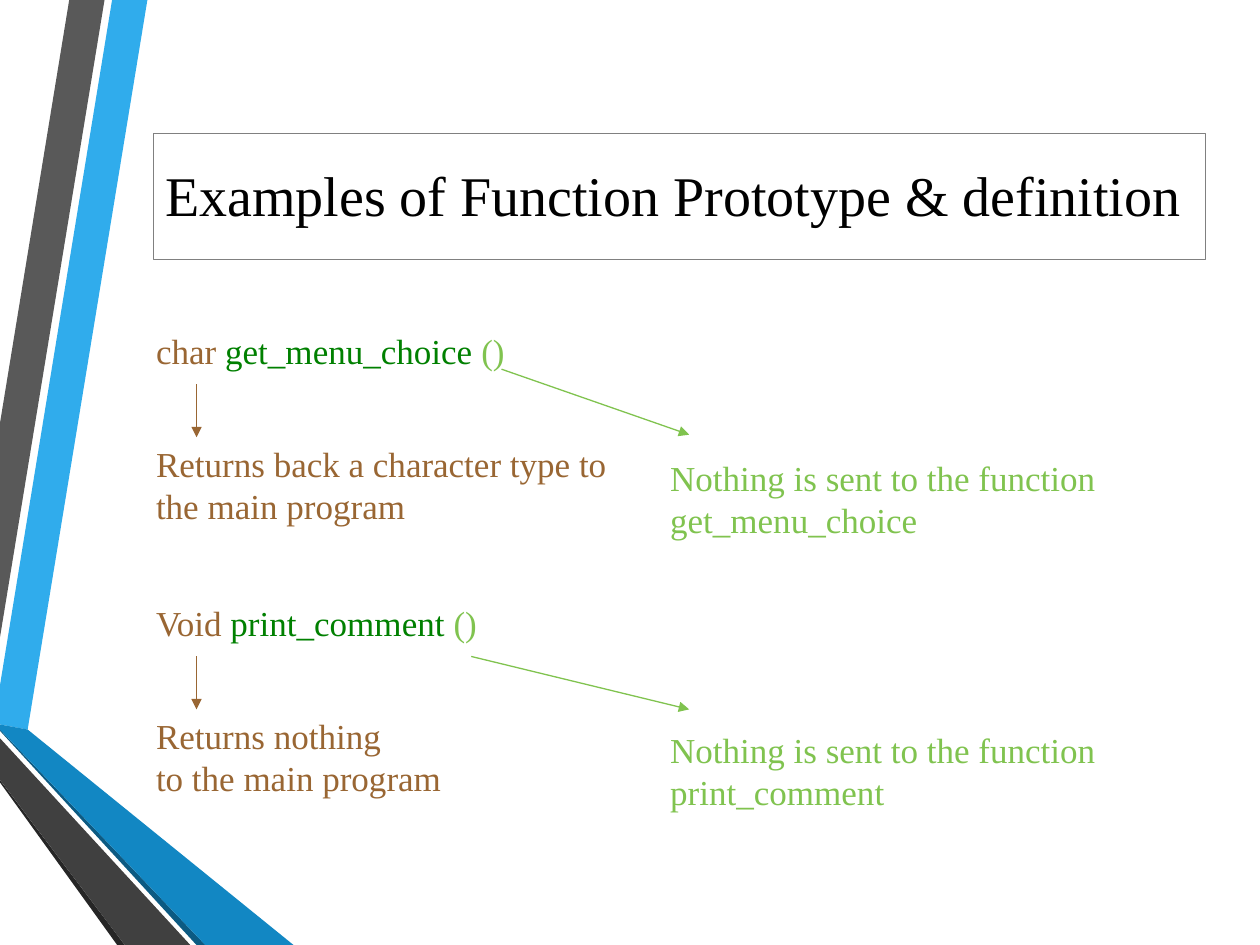
import pptx
import pptx.dml.color
import pptx.enum.shapes
import pptx.enum.text
import pptx.oxml.ns
import pptx.util
from lxml import etree

Inches = pptx.util.Inches
Align = pptx.enum.text.PP_ALIGN

BLACK, WHITE, GRAY = "000000", "FFFFFF", "808080"
BROWN, GREEN, LIME = "996633", "008000", "80C34F"


def color(hex_string):
    return pptx.dml.color.RGBColor.from_string(hex_string)


class SlideBuilder:
    font = "Times New Roman"
    body_size = 20
    title_size = 32
    line_width = 0.75

    def __init__(self, slide):
        self.slide = slide
        self.shapes = slide.shapes

    def band(self, points, fill):
        corners = [(Inches(x), Inches(y)) for x, y in points]
        builder = self.shapes.build_freeform(*corners[0], scale=1.0)
        builder.add_line_segments(corners[1:], close=True)
        band = builder.convert_to_shape()
        band.fill.solid()
        band.fill.fore_color.rgb = color(fill)
        band.line.fill.background()
        band.shadow.inherit = False

    def frame(self, left, top, width, height):
        frame = self.shapes.add_shape(
            pptx.enum.shapes.MSO_SHAPE.RECTANGLE,
            Inches(left), Inches(top), Inches(width), Inches(height))
        frame.fill.solid()
        frame.fill.fore_color.rgb = color(WHITE)
        frame.line.color.rgb = color(GRAY)
        frame.line.width = pptx.util.Pt(self.line_width)
        frame.shadow.inherit = False

    def add_runs(self, paragraph, runs, size, align):
        paragraph.alignment = align
        for words, hex_string in runs:
            run = paragraph.add_run()
            run.text = words
            run.font.name = self.font
            run.font.size = pptx.util.Pt(size)
            run.font.color.rgb = color(hex_string)

    def title(self, words, left, top, width, height):
        title = self.shapes.title
        title.left, title.top = Inches(left), Inches(top)
        title.width, title.height = Inches(width), Inches(height)
        title.text_frame.vertical_anchor = pptx.enum.text.MSO_ANCHOR.TOP
        title.text_frame.auto_size = pptx.enum.text.MSO_AUTO_SIZE.SHAPE_TO_FIT_TEXT
        self.add_runs(title.text_frame.paragraphs[0], [(words, BLACK)],
                      self.title_size, Align.LEFT)
        self.shapes._spTree.append(title._element)

    def text(self, paragraphs, left, top, width, height,
             align=Align.LEFT, spacing=None):
        box = self.shapes.add_textbox(
            Inches(left), Inches(top), Inches(width), Inches(height))
        frame = box.text_frame
        frame.word_wrap = True
        frame.auto_size = pptx.enum.text.MSO_AUTO_SIZE.SHAPE_TO_FIT_TEXT
        for index, runs in enumerate(paragraphs):
            paragraph = frame.add_paragraph() if index else frame.paragraphs[0]
            paragraph.line_spacing = spacing
            self.add_runs(paragraph, runs, self.body_size, align)

    def arrow(self, start, end, hex_string):
        arrow = self.shapes.add_connector(
            pptx.enum.shapes.MSO_CONNECTOR.STRAIGHT,
            *(Inches(value) for value in (*start, *end)))
        arrow.line.color.rgb = color(hex_string)
        arrow.line.width = pptx.util.Pt(self.line_width)
        qn = pptx.oxml.ns.qn
        outline = arrow._element.spPr.find(qn("a:ln"))
        etree.SubElement(outline, qn("a:tailEnd"), type="triangle")
        etree.SubElement(arrow._element.spPr, qn("a:effectLst"))


BANDS = [
    ("30ACEC", [(0, 5.44), (0, 5.75), (0.22, 5.79), (1.17, 0), (0.89, 0)]),
    ("595959", [(0.83, 0), (0.55, 0), (0, 3.36), (0, 5.06)]),
    ("262626", [(0, 6.19), (0, 6.21), (0.93, 7.5), (0.99, 7.5)]),
    ("0C5A82", [(0, 5.79), (0, 5.8), (1.56, 7.5), (1.63, 7.5)]),
    ("1287C3", [(0, 5.79), (1.63, 7.5), (2.33, 7.5), (0.22, 5.79), (0, 5.75)]),
    ("404040", [(0, 6.19), (0.99, 7.5), (1.51, 7.5), (0, 5.86)]),
]

EXAMPLES = [
    (2.55, "char ", "get_menu_choice",
     ["Returns back a character type to the main program"],
     (3.98, 2.93), (5.47, 3.45)),
    (4.71, "Void ", "print_comment",
     ["Returns nothing", "to the main program"],
     (3.74, 5.21), (5.47, 5.63)),
]


def main():
    deck = pptx.Presentation()
    deck.slide_width, deck.slide_height = Inches(10), Inches(7.5)
    page = SlideBuilder(deck.slides.add_slide(deck.slide_layouts[5]))

    for fill, points in BANDS:
        page.band(points, fill)

    page.frame(1.22, 1.06, 8.35, 1)
    page.title("Examples of Function Prototype & definition", 1.21, 1.22, 9.17, 0.64)

    for top, return_type, function, returned, sent_start, sent_end in EXAMPLES:
        prototype = [(return_type, BROWN), (function + " ", GREEN), ("()", LIME)]
        page.text([prototype], 1.14, top, 9.58, 0.43, Align.JUSTIFY, 1.04)
        page.text([[(line, BROWN)] for line in returned], 1.14, top + 0.91, 3.83, 0.77)
        page.arrow((1.56, top + 0.5), (1.56, top + 0.92), BROWN)
        sent = ["Nothing is sent to the function", function]
        page.text([[(line, LIME)] for line in sent], 5.22, top + 1.02, 3.65, 0.77)
        page.arrow(sent_start, sent_end, LIME)

    deck.save("out.pptx")


if __name__ == "__main__":
    main()
